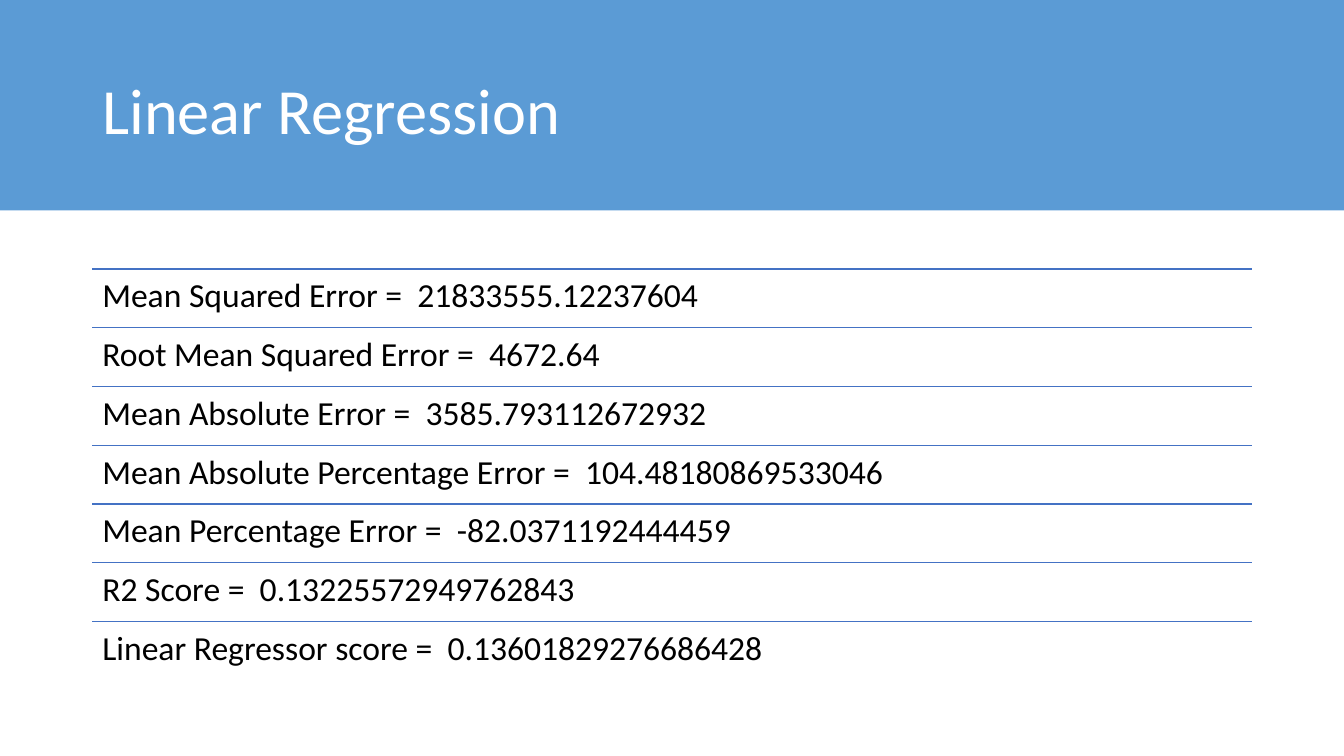
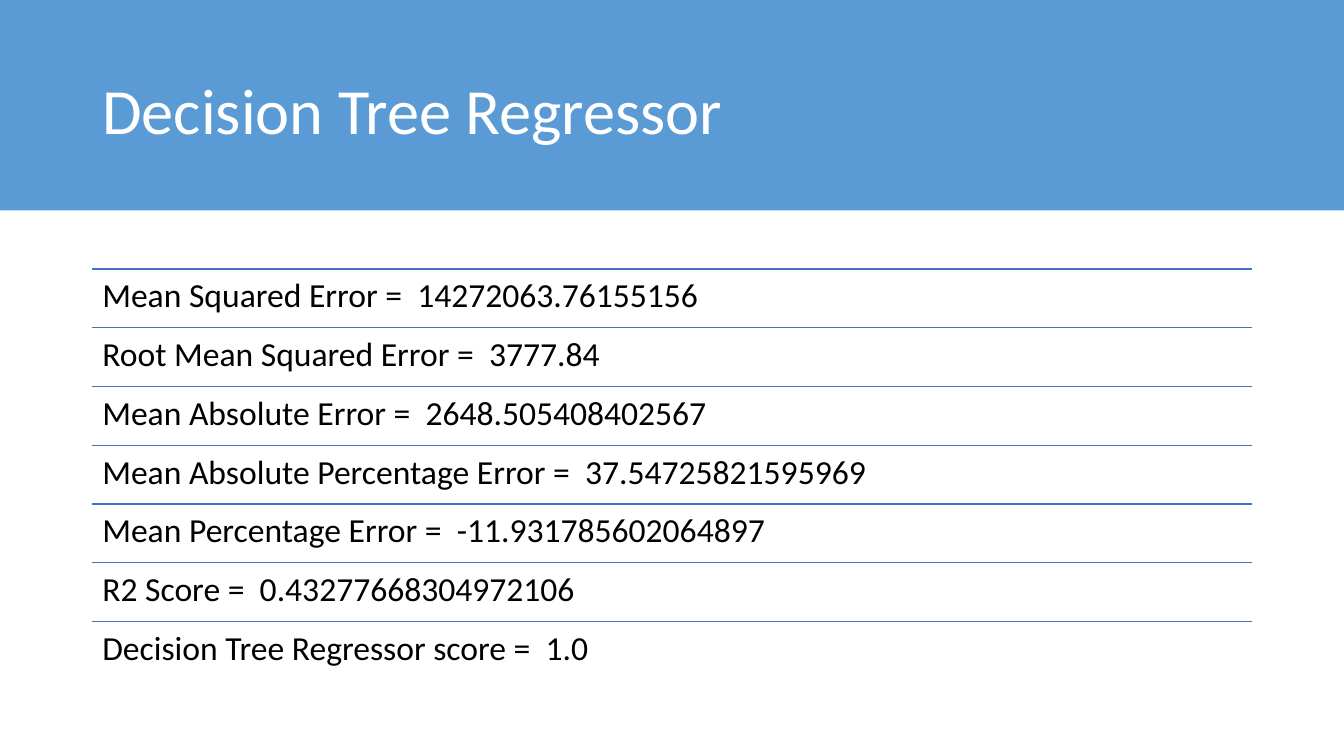
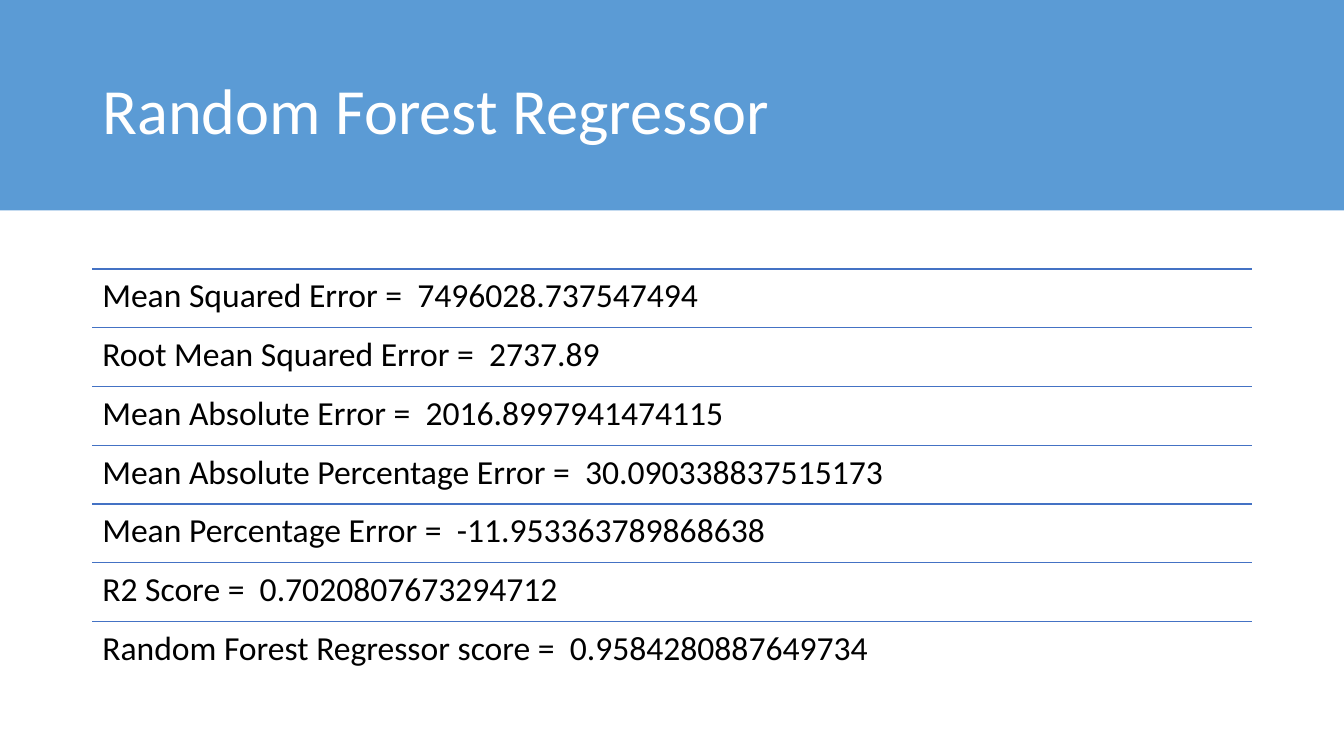
from lxml import etree
from pptx import Presentation
from pptx.dml.color import RGBColor
from pptx.enum.shapes import MSO_CONNECTOR, MSO_SHAPE
from pptx.enum.text import MSO_ANCHOR, MSO_AUTO_SIZE, PP_ALIGN
from pptx.oxml.ns import qn
from pptx.util import Cm, Pt

RECTANGLE = MSO_SHAPE.RECTANGLE
STRAIGHT = MSO_CONNECTOR.STRAIGHT
TOP, MIDDLE = MSO_ANCHOR.TOP, MSO_ANCHOR.MIDDLE
LEFT_ALIGNED = PP_ALIGN.LEFT
NO_AUTOFIT = MSO_AUTO_SIZE.NONE

# Shared style
BAND_BLUE = RGBColor(0x5B, 0x9B, 0xD5)
RULE_BLUE = RGBColor(0x44, 0x72, 0xC4)
WHITE = RGBColor(0xFF, 0xFF, 0xFF)
BLACK = RGBColor(0x00, 0x00, 0x00)
FONT = "Calibri"

# Shared layout
SLIDE_WIDTH, SLIDE_HEIGHT = Cm(33.87), Cm(19.05)
BAND_HEIGHT = Cm(5.3)
LEFT, WIDTH = Cm(2.33), Cm(29.21)
TITLE_TOP, TITLE_HEIGHT = Cm(1.02), Cm(3.68)
ROWS_TOP, ROW_HEIGHT = Cm(6.78), Cm(1.48)
INSET = Cm(0.25)

# Metric labels shared by all models; the last row names the model's own score
METRICS = [
    "Mean Squared Error",
    "Root Mean Squared Error",
    "Mean Absolute Error",
    "Mean Absolute Percentage Error",
    "Mean Percentage Error",
    "R2 Score",
]
MODELS = [
    ("Linear Regression", "Linear Regressor score",
     ["21833555.12237604", "4672.64", "3585.793112672932", "104.48180869533046",
      "-82.0371192444459", "0.13225572949762843", "0.13601829276686428"]),
    ("Decision Tree Regressor", "Decision Tree Regressor score",
     ["14272063.76155156", "3777.84", "2648.505408402567", "37.54725821595969",
      "-11.931785602064897", "0.43277668304972106", "1.0"]),
    ("Random Forest Regressor", "Random Forest Regressor score",
     ["7496028.737547494", "2737.89", "2016.8997941474115", "30.090338837515173",
      "-11.953363789868638", "0.7020807673294712", "0.9584280887649734"]),
]


def write_text(shape, text, size, color, anchor):
    """Put one left-aligned paragraph into a shape."""
    frame = shape.text_frame
    frame.text = text
    frame.word_wrap = True
    frame.auto_size = NO_AUTOFIT
    frame.vertical_anchor = anchor
    frame.margin_left = frame.margin_right = INSET
    frame.margin_top = frame.margin_bottom = INSET
    paragraph = frame.paragraphs[0]
    paragraph.alignment = LEFT_ALIGNED
    paragraph.line_spacing = 0.9
    paragraph.font.name = FONT
    paragraph.font.size = Pt(size)
    paragraph.font.color.rgb = color


presentation = Presentation()
presentation.slide_width = SLIDE_WIDTH
presentation.slide_height = SLIDE_HEIGHT
title_only = presentation.slide_layouts[5]

for model, score_label, values in MODELS:
    slide = presentation.slides.add_slide(title_only)

    # Title
    title = slide.shapes.title
    title.left, title.top = LEFT, TITLE_TOP
    title.width, title.height = WIDTH, TITLE_HEIGHT
    write_text(title, model, 46, WHITE, MIDDLE)

    # Band behind the title
    band = slide.shapes.add_shape(RECTANGLE, 0, 0, SLIDE_WIDTH, BAND_HEIGHT)
    band.shadow.inherit = False
    band.fill.solid()
    band.fill.fore_color.rgb = BAND_BLUE
    band.line.fill.background()
    title.element.addprevious(band.element)

    # Ruled rows of metrics
    for row, (label, value) in enumerate(zip(METRICS + [score_label], values)):
        top = ROWS_TOP + row * ROW_HEIGHT
        rule = slide.shapes.add_connector(STRAIGHT, LEFT, top, LEFT + WIDTH, top)
        rule.line.color.rgb = RULE_BLUE
        rule.line.width = Pt(1)
        etree.SubElement(rule.element.spPr, qn("a:effectLst"))

        metric = slide.shapes.add_textbox(LEFT, top, WIDTH, ROW_HEIGHT)
        write_text(metric, f"{label} =  {value}", 24, BLACK, TOP)

presentation.save("out.pptx")
